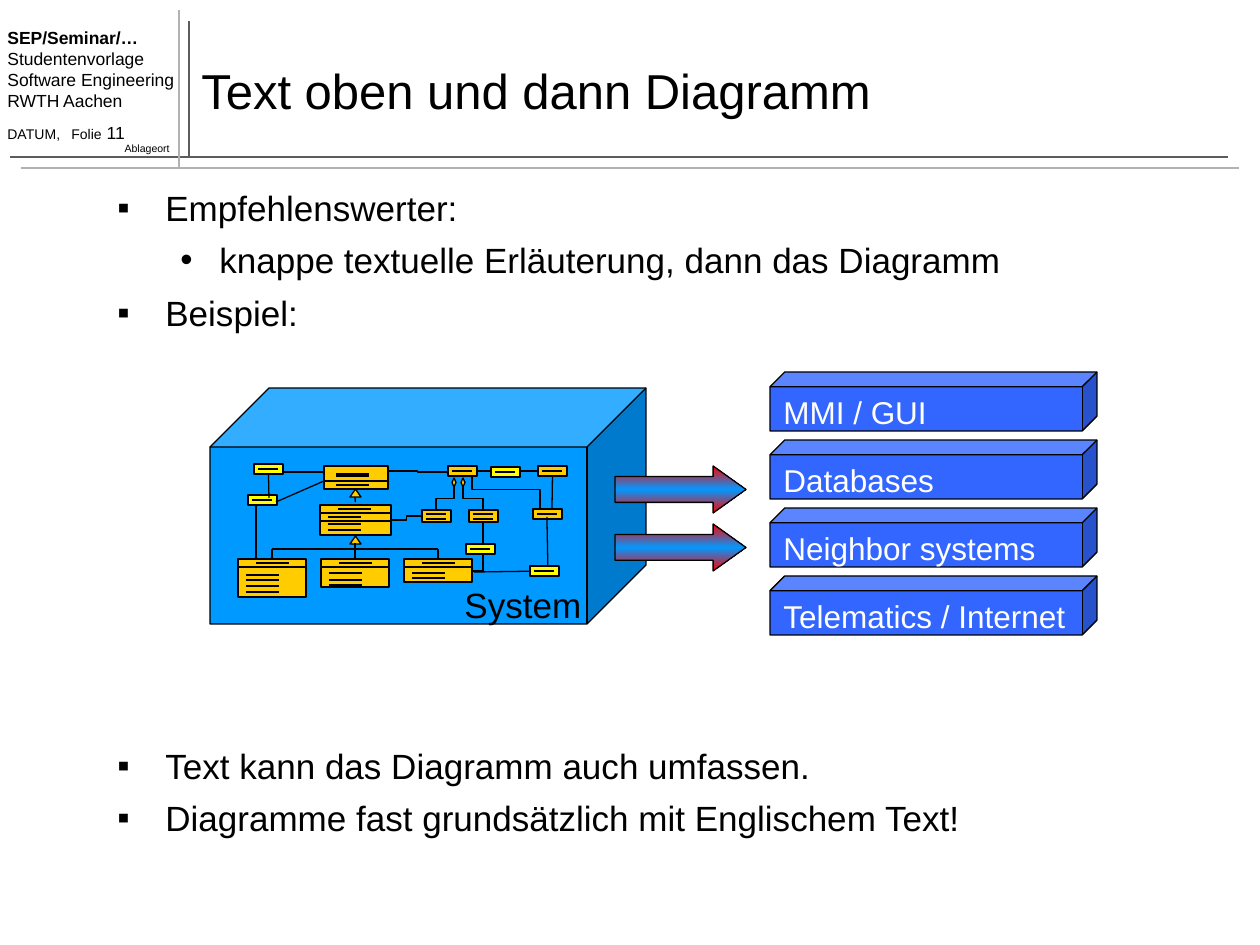
"""Builds a slide with text above and below a system architecture diagram."""
from copy import deepcopy

from lxml import etree
from pptx import Presentation
from pptx.dml.color import RGBColor
from pptx.enum.dml import MSO_LINE
from pptx.enum.shapes import MSO_CONNECTOR, MSO_SHAPE
from pptx.enum.text import MSO_ANCHOR, PP_ALIGN
from pptx.oxml.ns import qn
from pptx.util import Pt

PX = 914400 / 126
BLACK = RGBColor(0x00, 0x00, 0x00)
WHITE = RGBColor(0xFF, 0xFF, 0xFF)
DARK_GREY = RGBColor(0x5C, 0x5C, 0x5C)
LIGHT_GREY = RGBColor(0xB2, 0xB2, 0xB2)
SYSTEM_BLUE = RGBColor(0x00, 0x99, 0xFF)
LAYER_BLUE = RGBColor(0x33, 0x66, 0xFF)
RED = RGBColor(0xFF, 0x00, 0x00)
ORANGE = RGBColor(0xFF, 0xCC, 0x00)
YELLOW = RGBColor(0xFF, 0xFF, 0x00)

STRAIGHT, ELBOW = MSO_CONNECTOR.STRAIGHT, MSO_CONNECTOR.ELBOW
RECT, CUBE, ARROW = MSO_SHAPE.RECTANGLE, MSO_SHAPE.CUBE, MSO_SHAPE.RIGHT_ARROW
TRIANGLE, DECISION = MSO_SHAPE.ISOSCELES_TRIANGLE, MSO_SHAPE.FLOWCHART_DECISION
MIDDLE, RIGHT, DASH = MSO_ANCHOR.MIDDLE, PP_ALIGN.RIGHT, MSO_LINE.DASH
TOP_SIDE, LEFT_SIDE, BOTTOM_SIDE, RIGHT_SIDE = range(4)

SQUARE_BULLET = ("▪", 48, 48)
ROUND_BULLET = ("•", 102, 39)
LAYERS = ["MMI / GUI", "Databases", "Neighbor systems", "Telematics / Internet"]


def emu(*lengths):
    """Turns px lengths into EMU."""
    return [round(length * PX) for length in lengths]


def add_bullet(paragraph, char, margin, hanging):
    """Gives a paragraph a bullet with a hanging indent."""
    properties = paragraph._p.get_or_add_pPr()
    margin, hanging = emu(margin, hanging)
    properties.set("marL", str(margin))
    properties.set("indent", str(-hanging))
    etree.SubElement(properties, qn("a:buFont"), typeface="Arial")
    etree.SubElement(properties, qn("a:buChar"), char=char)


def add_tab(paragraph, position):
    """Sets one left tab stop."""
    stops = etree.SubElement(paragraph._p.get_or_add_pPr(), qn("a:tabLst"))
    etree.SubElement(stops, qn("a:tab"), pos=str(emu(position)[0]), algn="l")


def add_text(shapes, box, paragraphs, color=BLACK, anchor=None):
    """Adds a text box from (runs, format, bullet, tab) paragraphs."""
    frame = shapes.add_textbox(*emu(*box)).text_frame
    frame.word_wrap = True
    frame.vertical_anchor = anchor
    for index, (runs, formats, bullet, tab) in enumerate(paragraphs):
        paragraph = frame.paragraphs[0] if index == 0 else frame.add_paragraph()
        if bullet:
            add_bullet(paragraph, *bullet)
        if tab:
            add_tab(paragraph, tab)
        for name, value in formats.items():
            setattr(paragraph, name, value)
        for text, size, bold in runs:
            for part_index, part in enumerate(text.split("\n")):
                if part_index:
                    paragraph.add_line_break()
                run = paragraph.add_run()
                run.text = part
                style = {"name": "Arial", "size": Pt(size), "bold": bold}
                for name, value in style.items():
                    setattr(run.font, name, value)
                run.font.color.rgb = color


def plain(text, size, formats=None, bullet=None, tab=None):
    """Describes a paragraph with a single regular run."""
    return [(text, size, False)], formats or {}, bullet, tab


def add_block(shapes, kind, box, fill):
    """Adds a filled shape with a thin black outline."""
    block = shapes.add_shape(kind, *emu(*box))
    block.shadow.inherit = False
    block.fill.solid()
    block.fill.fore_color.rgb = fill
    block.line.color.rgb = BLACK
    block.line.width = Pt(0.75)
    return block


def add_line(shapes, ends, color=BLACK, width=0.75, kind=STRAIGHT, begin=None, end=None):
    """Adds a connector, joined to (shape, side) where given."""
    line = shapes.add_connector(kind, *emu(*ends))
    if begin:
        line.begin_connect(*begin)
    if end:
        line.end_connect(*end)
    line.line.color.rgb = color
    line.line.width = Pt(width)
    etree.SubElement(line._element.spPr, qn("a:effectLst"))
    return line


def add_drop(shapes, x1, y1, x2, y2, preset="bentConnector3", bend=None):
    """Adds an elbow connector that leaves downwards."""
    turn = 1 if x2 < x1 else -1
    center_x, center_y = (x1 + x2) / 2, (y1 + y2) / 2
    half_width, half_height = turn * (y2 - y1) / 2, abs(x2 - x1) / 2
    ends = (center_x - half_width, center_y - half_height,
            center_x + half_width, center_y + half_height)
    properties = add_line(shapes, ends, kind=ELBOW)._element.spPr
    properties.find(qn("a:xfrm")).set("rot", str(5400000 if turn == 1 else 16200000))
    geometry = properties.find(qn("a:prstGeom"))
    geometry.set("prst", preset)
    if bend:
        guides = geometry.find(qn("a:avLst"))
        etree.SubElement(guides, qn("a:gd"), name="adj1", fmla=f"val {bend}")


def add_flow_arrow(shapes, y):
    """Adds a gradient arrow from the system to the layers."""
    arrow = add_block(shapes, ARROW, (615, y, 131, 47), RED)
    arrow.adjustments[0], arrow.adjustments[1] = 0.55, 0.7
    arrow.fill.gradient()
    arrow.fill.gradient_angle = 90
    for stop, color, position in zip(arrow.fill.gradient_stops, (RED, SYSTEM_BLUE), (0, 0.5)):
        stop.color.rgb = color
        stop.position = position
    stops = arrow._element.spPr.find(qn("a:gradFill")).find(qn("a:gsLst"))
    last = deepcopy(stops[0])
    last.set("pos", "100000")
    stops.append(last)


def add_class(shapes, box, dividers, titles, members, title_inset=18, member_inset=8):
    """Adds a class box with dividers and text strokes at the given depths."""
    x, y, width, _ = box
    class_box = add_block(shapes, RECT, box, ORANGE)
    for depths, inset, length in ((dividers, 0, width), (titles, title_inset, 33),
                                  (members, member_inset, 33)):
        for depth in depths:
            add_line(shapes, (x + inset, y + depth, x + inset + length, y + depth))
    return class_box


def add_node(shapes, x, y, fill, height=10, strokes=(5,)):
    """Adds a small node with text strokes."""
    node = add_block(shapes, RECT, (x, y, 29, height), fill)
    for depth in strokes:
        add_line(shapes, (x + 4, y + depth, x + 24, y + depth))
    return node


def add_class_diagram(shapes):
    """Adds the miniature class diagram on the system's front."""
    subclasses = [add_class(shapes, (x, 559, 68, height), (8,), (4,), members)
                  for x, height, members in ((238, 38, (16, 21, 27, 33)),
                                             (321, 28, (14, 21, 26)),
                                             (404, 23, (14, 19)))]
    parent = add_class(shapes, (320, 505, 71, 30), (8, 16), (4,), (12, 19, 25))
    add_class(shapes, (324, 466, 64, 23), (15,), (8, 10), (19,), 12, 12)
    for y in (489, 536):
        add_block(shapes, TRIANGLE, (350, y, 11, 8), ORANGE)
    add_line(shapes, (272, 549, 438, 549))
    for subclass, x, y in zip(subclasses, (272, 355, 438), (549, 543, 549)):
        add_line(shapes, (x, y, x, 559), end=(subclass, TOP_SIDE))
    add_line(shapes, (355, 497, 355, 505), end=(parent, TOP_SIDE)).line.dash_style = DASH

    hub = add_node(shapes, 448, 466, ORANGE)
    for x in (422, 469):
        add_node(shapes, x, 510, ORANGE, 12, (4, 9))
    add_node(shapes, 533, 509, ORANGE)
    corner = add_node(shapes, 538, 466, ORANGE)
    for x in (452, 461):
        add_block(shapes, DECISION, (x, 478, 4, 9), ORANGE)
    add_drop(shapes, 463, 487, 483, 510)
    add_drop(shapes, 454, 487, 436, 510)
    add_drop(shapes, 472, 477, 540, 509, bend=38400)
    add_drop(shapes, 483, 522, 473, 571, "bentConnector2")
    add_line(shapes, (448, 472, 387, 471), kind=ELBOW)
    add_line(shapes, (422, 516, 391, 520), kind=ELBOW)
    add_line(shapes, (477, 472, 538, 472), begin=(hub, RIGHT_SIDE), end=(corner, LEFT_SIDE))
    add_line(shapes, (552, 477, 552, 509), begin=(corner, BOTTOM_SIDE))
    outline = shapes.build_freeform(*emu(474, 572), scale=1.0)
    outline.add_line_segments([emu(548, 571), emu(547, 517)], close=False)
    path = outline.convert_to_shape()
    path.shadow.inherit = False
    path.fill.background()
    path.line.color.rgb = BLACK
    path.line.width = Pt(0.75)

    source, *_ = [add_node(shapes, x, y, YELLOW) for x, y in
                  ((254, 464), (248, 495), (530, 566), (491, 467), (466, 544))]
    add_line(shapes, (269, 498, 269, 474), end=(source, BOTTOM_SIDE))
    for ends in ((282, 472, 325, 472), (276, 502, 324, 481), (256, 506, 256, 559)):
        add_line(shapes, ends)


def add_header(shapes):
    """Adds the header rules, the lecture details and the title."""
    for ends, color in (((189, 157, 189, 21), DARK_GREY), ((10, 157, 1228, 157), DARK_GREY),
                        ((21, 168, 1239, 168), LIGHT_GREY), ((179, 168, 179, 10), LIGHT_GREY)):
        add_line(shapes, ends, color, 1)
    folio = [("DATUM,\tFolie", 8, False), (" 11", 10, False)]
    add_text(shapes, (-5, 21, 194, 129), [
        ([("SEP/Seminar/…", 10, True)], {}, None, None),
        plain("Studentenvorlage\nSoftware Engineering", 10), plain("RWTH Aachen", 10),
        (folio, {"space_before": Pt(6.2)}, None, 64)])
    add_text(shapes, (92, 136, 90, 25), [plain("Ablageort", 6, {"alignment": RIGHT})])
    add_text(shapes, (189, 32, 1050, 116), [plain("Text oben und dann Diagramm", 28)],
             anchor=MIDDLE)


def add_bullets(shapes, y, height, items):
    """Adds a list of (text, bullet) items."""
    add_text(shapes, (105, y, 1134, height), [
        plain(text, 20, {"space_before": Pt(6 if index else 0)}, bullet)
        for index, (text, bullet) in enumerate(items)])


def main():
    """Builds and saves the slide."""
    deck = Presentation()
    deck.slide_width, deck.slide_height = emu(1260, 945)
    shapes = deck.slides.add_slide(deck.slide_layouts[6]).shapes
    add_header(shapes)
    add_bullets(shapes, 180, 160, [
        ("Empfehlenswerter:", SQUARE_BULLET),
        ("knappe textuelle Erläuterung, dann das Diagramm", ROUND_BULLET),
        ("Beispiel:", SQUARE_BULLET)])
    add_bullets(shapes, 738, 110, [
        ("Text kann das Diagramm auch umfassen.", SQUARE_BULLET),
        ("Diagramme fast grundsätzlich mit Englischem Text!", SQUARE_BULLET)])
    add_block(shapes, CUBE, (210, 388, 436, 236), SYSTEM_BLUE)
    for y in (466, 524):
        add_flow_arrow(shapes, y)
    layers = shapes.add_group_shape().shapes
    for index, label in enumerate(LAYERS):
        y = 372 + 68 * index
        add_block(layers, CUBE, (770, y, 327, 59), LAYER_BLUE)
        add_text(layers, (771, y + 15, 320, 50), [plain(label, 18)], WHITE)
    add_class_diagram(shapes.add_group_shape().shapes)
    add_text(shapes, (452, 577, 142, 55), [plain("System", 20)])
    deck.save("out.pptx")


if __name__ == "__main__":
    main()
